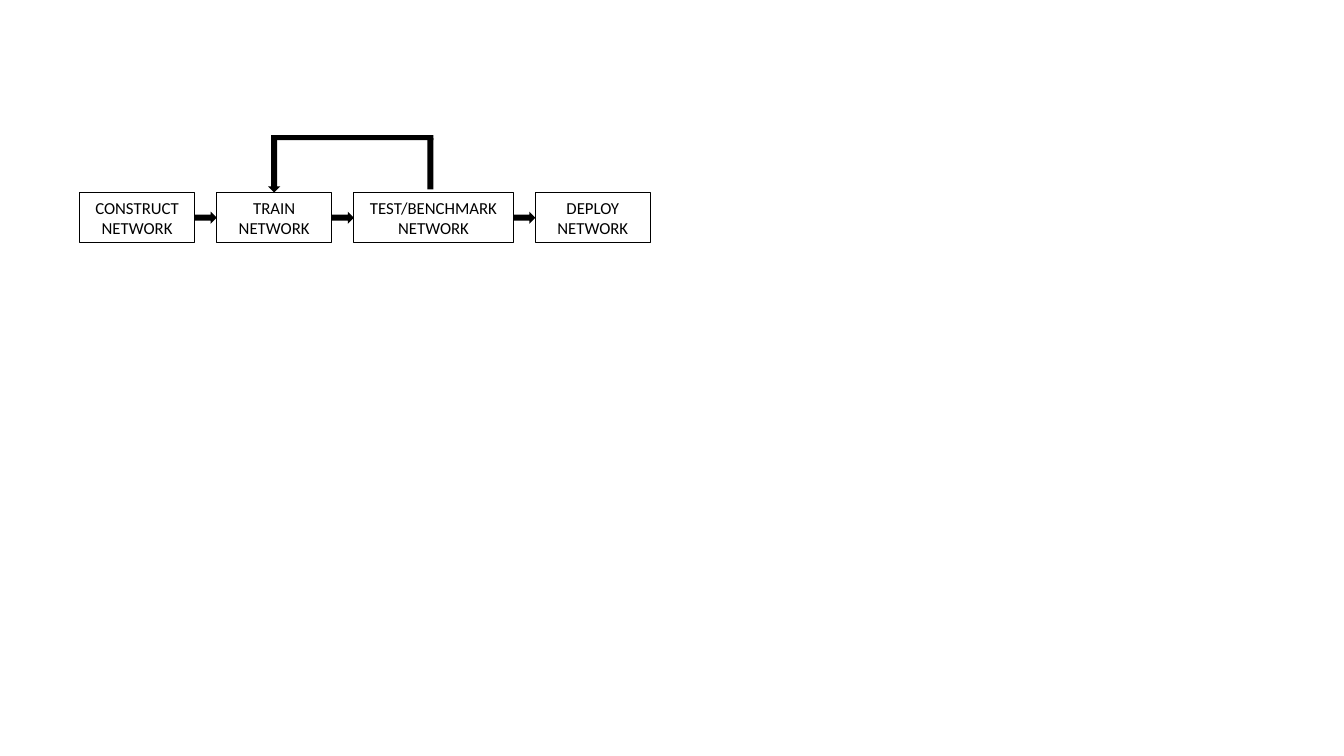
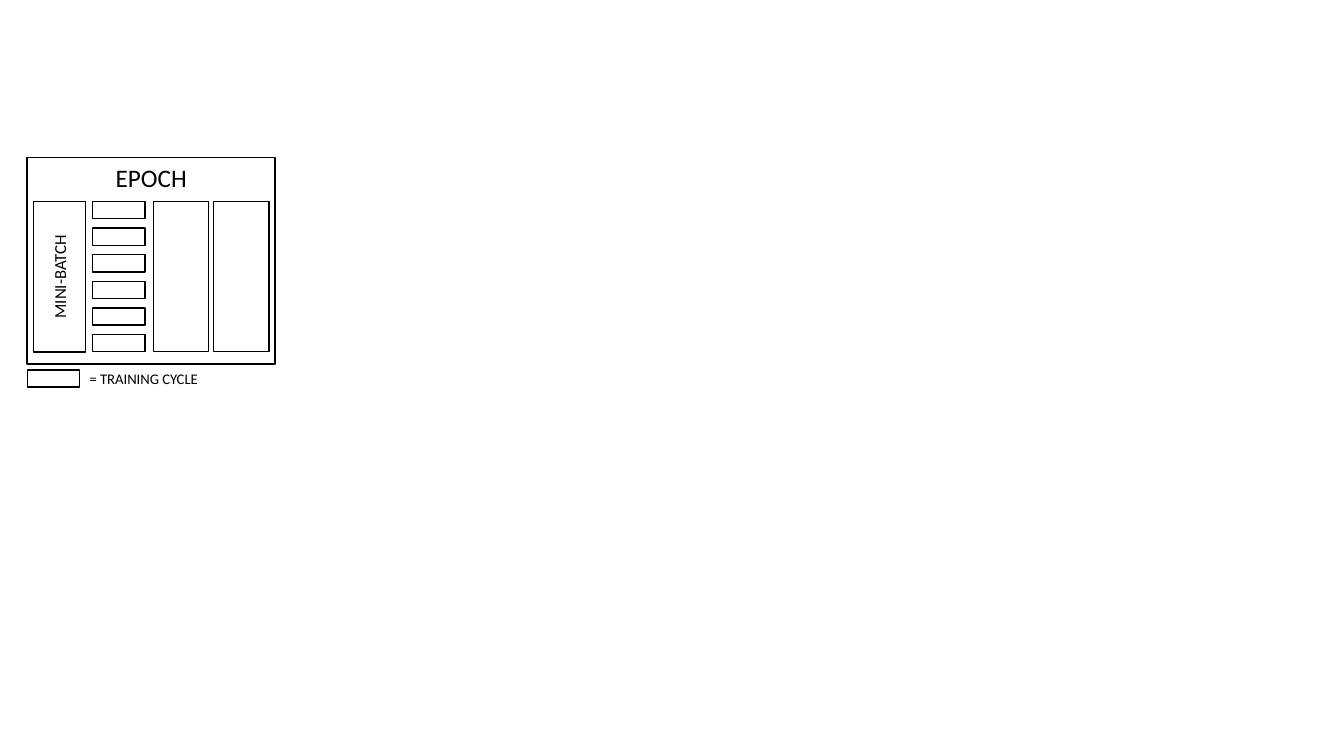
from pptx import Presentation
from pptx.dml.color import RGBColor
from pptx.enum.shapes import MSO_SHAPE
from pptx.enum.text import MSO_ANCHOR, MSO_AUTO_SIZE, PP_ALIGN
from pptx.util import Inches, Pt

RECT = MSO_SHAPE.RECTANGLE
RIGHT_ARROW = MSO_SHAPE.RIGHT_ARROW
DOWN_ARROW = MSO_SHAPE.DOWN_ARROW
TOP, MIDDLE = MSO_ANCHOR.TOP, MSO_ANCHOR.MIDDLE
LEFT, CENTER = PP_ALIGN.LEFT, PP_ALIGN.CENTER
FIT_SHAPE = MSO_AUTO_SIZE.SHAPE_TO_FIT_TEXT

COLORS = {"ink": "000000", "paper": "FFFFFF"}
FONT = "Calibri"


def color(name):
    return RGBColor.from_string(COLORS[name])


def write(sp, text, size, align=CENTER, anchor=MIDDLE):
    tf = sp.text_frame
    tf.word_wrap = True
    tf.vertical_anchor = anchor
    p = tf.paragraphs[0]
    p.text = text
    p.alignment = align
    font = p.runs[0].font
    font.name, font.size = FONT, Pt(size)
    font.color.rgb = color("ink")


def add_shape(shapes, kind, x, y, w, h, fill=None, line=None):
    sp = shapes.add_shape(kind, Inches(x), Inches(y), Inches(w), Inches(h))
    sp.shadow.inherit = False
    if fill:
        sp.fill.solid()
        sp.fill.fore_color.rgb = color(fill)
    else:
        sp.fill.background()
    if line:
        sp.line.color.rgb = color("ink")
        sp.line.width = Pt(line)
    else:
        sp.line.fill.background()
    return sp


def workflow(shapes, x, y):
    """Row of steps joined by arrows, with a loop back from testing to training."""
    step_h, gap, thick = 0.5, 0.22, 0.12
    steps = [("CONSTRUCT NETWORK", 1.14), ("TRAIN NETWORK", 1.14),
             ("TEST/BENCHMARK NETWORK", 1.58), ("DEPLOY NETWORK", 1.14)]
    centers = []
    for i, (label, w) in enumerate(steps):
        # Step box, with an arrow from the step before it
        if i:
            add_shape(shapes, RIGHT_ARROW, x - gap, y + 0.19, gap, thick, "ink")
        sp = add_shape(shapes, RECT, x, y, w, step_h, line=0.75)
        write(sp, label, 12)
        sp.text_frame.auto_size = FIT_SHAPE
        centers.append(x + w / 2)
        x += w + gap

    # Feedback loop
    train, test = centers[1], centers[2]
    loop_y = y - 0.57
    add_shape(shapes, RECT, test - 0.06, loop_y + 0.03, 0.06, 0.51, "ink")
    add_shape(shapes, RECT, train - 0.02, loop_y, 1.6, 0.05, "ink")
    add_shape(shapes, DOWN_ARROW, train - thick / 2, loop_y, thick, 0.57, "ink")


def epoch(shapes, x, y):
    """Epoch frame holding mini-batches, one of them split into training cycles."""
    def box(left, top, w, h):
        return add_shape(shapes, RECT, left, top, w, h, "paper", 1)

    batch_y, batch_h = y + 0.44, 1.49
    cycle_w, cycle_h, cycles = 0.52, 0.17, 6

    # Frame
    write(box(x, y, 2.46, 2.05), "EPOCH", 18, anchor=TOP)

    # Named mini-batch, turned to read upwards
    center_x, center_y = x + 0.32, batch_y + batch_h / 2
    sp = box(center_x - batch_h / 2, center_y - cycle_w / 2, batch_h, cycle_w)
    sp.rotation = 270
    write(sp, "MINI-BATCH", 12)

    # Whole mini-batches
    for i in range(2):
        box(x + 1.25 + 0.6 * i, batch_y, 0.55, batch_h)

    # Training cycles
    pitch = (batch_h - cycle_h) / (cycles - 1)
    for i in range(cycles):
        box(x + 0.65, batch_y + i * pitch, cycle_w, cycle_h)

    # Key
    box(x, y + 2.11, cycle_w, cycle_h)
    key = shapes.add_textbox(Inches(x + 0.52), Inches(y + 2.06),
                             Inches(1.33), Inches(0.28))
    write(key, "= TRAINING CYCLE", 10.5, LEFT, TOP)
    key.text_frame.auto_size = FIT_SHAPE


prs = Presentation()
prs.slide_width, prs.slide_height = Inches(13.33), Inches(7.5)
blank = prs.slide_layouts[6]

workflow(prs.slides.add_slide(blank).shapes, 0.79, 1.91)
epoch(prs.slides.add_slide(blank).shapes.add_group_shape().shapes, 0.27, 1.56)

prs.save("out.pptx")
